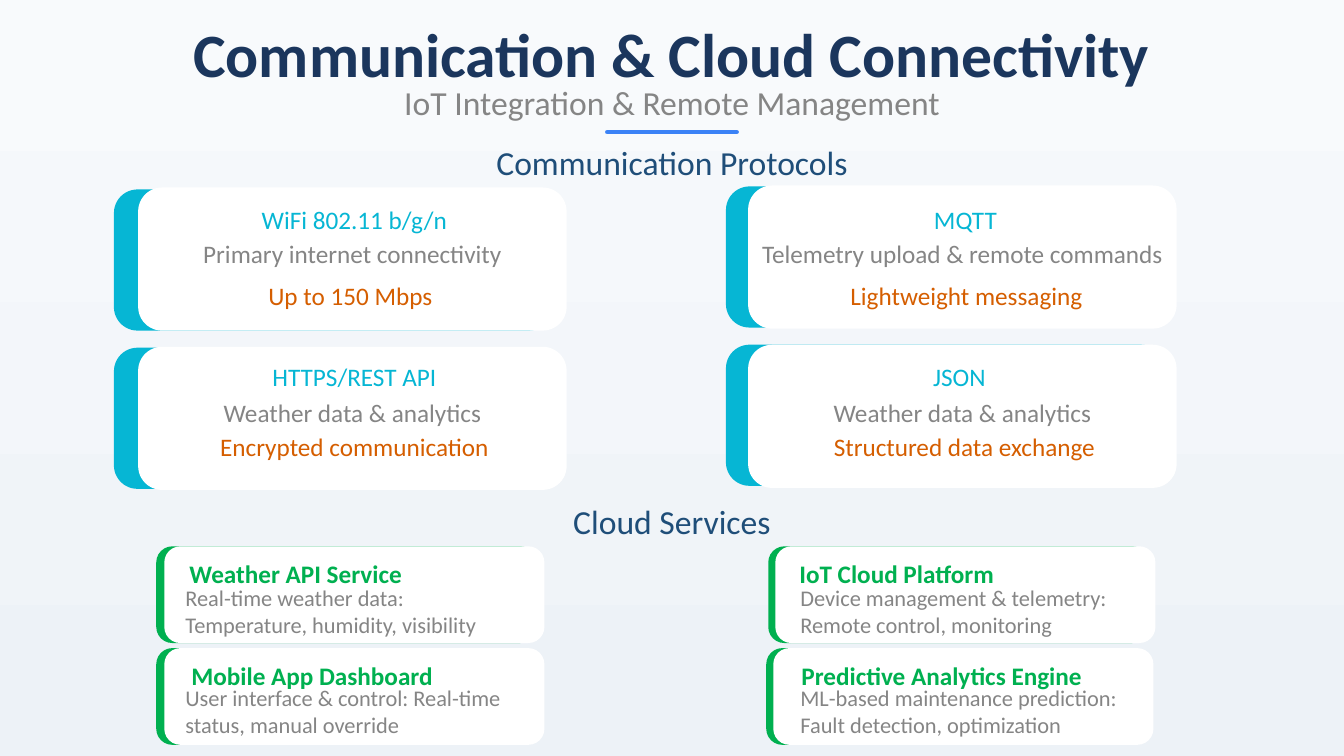
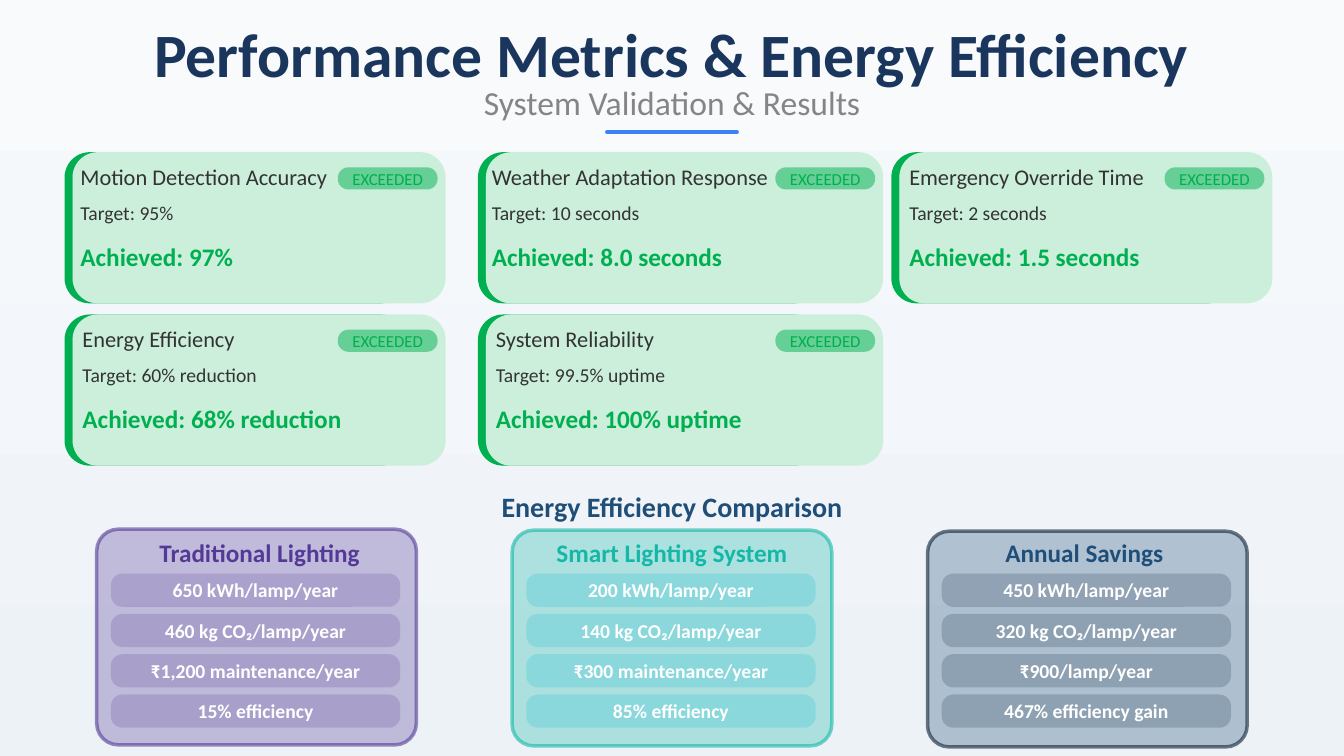
"""Build two slides on cloud connectivity and on lighting performance."""

from dataclasses import dataclass
from typing import NamedTuple

from lxml.etree import SubElement
from pptx import Presentation
from pptx.dml.color import RGBColor
from pptx.enum.shapes import MSO_AUTO_SHAPE_TYPE as ShapeType, MSO_CONNECTOR as ConnectorType
from pptx.enum.text import MSO_ANCHOR as Anchor, MSO_AUTO_SIZE as AutoSize, PP_ALIGN as Align
from pptx.oxml.ns import qn
from pptx.util import Inches, Pt

SLIDE_WIDTH, SLIDE_HEIGHT = 13.33, 7.5
FONT = "Calibri"
WHITE = RGBColor(0xFF, 0xFF, 0xFF)
PALE_TOP = RGBColor(0xF8, 0xFA, 0xFC)
PALE_BOTTOM = RGBColor(0xED, 0xF2, 0xF7)
NAVY = RGBColor(0x1B, 0x36, 0x5D)
STEEL = RGBColor(0x1F, 0x4E, 0x79)
INK = RGBColor(0x0E, 0x22, 0x35)
SLATE = RGBColor(0x10, 0x27, 0x3C)
BLUE = RGBColor(0x3B, 0x82, 0xF6)
CYAN = RGBColor(0x06, 0xB6, 0xD4)
TEAL = RGBColor(0x14, 0xB8, 0xA6)
GREEN = RGBColor(0x00, 0xB0, 0x50)
ORANGE = RGBColor(0xD5, 0x5E, 0x00)
PURPLE = RGBColor(0x54, 0x3A, 0x96)
GRAY = RGBColor(0x85, 0x85, 0x85)
CHARCOAL = RGBColor(0x33, 0x33, 0x33)


class Box(NamedTuple):
    left: float
    top: float
    width: float
    height: float

    def lengths(self) -> list[int]:
        return [Inches(value) for value in self]


@dataclass(frozen=True)
class Grid:
    left: float
    top: float
    column_step: float
    row_step: float
    width: float
    height: float
    drop: float = 0

    def cell(self, column: int, row: int = 0, shift: float = 0) -> Box:
        return Box(self.left + column * self.column_step + shift,
                   self.top + row * self.row_step + column * self.drop,
                   self.width, self.height)


@dataclass(frozen=True)
class Protocol:
    name: str
    detail: str
    result: str
    name_shift: float = 0
    result_shift: float = 0


@dataclass(frozen=True)
class Service:
    name: str
    detail: str
    name_shift: float = 0
    card_shift: float = 0


@dataclass(frozen=True)
class Metric:
    name: str
    target: str
    achieved: str
    text_shift: float = 0


@dataclass(frozen=True)
class Panel:
    heading: str
    values: tuple[str, ...]
    fill: RGBColor
    border: RGBColor
    bar: RGBColor
    heading_shift: float = 0


PROTOCOL_ACCENTS = Grid(1.13, 1.88, 6.07, 1.57, 4.35, 1.4, -0.03)
PROTOCOL_CARDS = Grid(1.37, 1.86, 6.05, 1.58, 4.25, 1.42, -0.02)
PROTOCOL_NAMES = Grid(1.37, 1.98, 6.05, 1.56, 4.25, 0.4)
PROTOCOL_DETAILS = Grid(1.37, 2.32, 6.05, 1.57, 4.25, 0.4)
PROTOCOL_RESULTS = Grid(1.37, 2.73, 6.05, 1.5, 4.25, 0.4)
SERVICE_ACCENTS = Grid(1.55, 5.42, 6.07, 1.01, 3.77, 0.96)
SERVICE_CARDS = Grid(1.63, 5.42, 6.06, 1.01, 3.77, 0.96)
SERVICE_NAMES = Grid(1.78, 5.49, 6.05, 1.01, 3.43, 0.4)
SERVICE_DETAILS = Grid(1.74, 5.75, 6.1, 0.99, 3.45, 0.64)
METRIC_ACCENTS = Grid(0.64, 1.51, 4.1, 1.61, 3.39, 1.5)
METRIC_WIDTHS = (3.7, 3.94, 3.7)
PANELS = Grid(0.96, 5.25, 4.12, 0, 3.17, 2.14, 0.01)
PANEL_HEADINGS = Grid(0.96, 5.28, 4.12, 0, 3.17, 0.4)
PANEL_BARS = Grid(1.1, 5.69, 4.12, 0.4, 2.87, 0.33)

PROTOCOLS = (
    Protocol("WiFi 802.11 b/g/n", "Primary internet connectivity", "Up to 150 Mbps", 0.02, -0.02),
    Protocol("MQTT", "Telemetry upload & remote commands", "Lightweight messaging", 0.03, 0.04),
    Protocol("HTTPS/REST API", "Weather data & analytics", "Encrypted communication", 0.02, 0.02),
    Protocol("JSON", "Weather data & analytics", "Structured data exchange", -0.03, 0.02),
)
SERVICES = (
    Service("Weather API Service", "Real-time weather data: Temperature, humidity, visibility"),
    Service("IoT Cloud Platform", "Device management & telemetry: Remote control, monitoring"),
    Service("Mobile App Dashboard", "User interface & control: Real-time status, manual override", 0.02),
    Service("Predictive Analytics Engine",
            "ML-based maintenance prediction: Fault detection, optimization", 0.02, -0.02),
)
METRICS = (
    Metric("Motion Detection Accuracy", "Target: 95%", "Achieved: 97%", -0.02),
    Metric("Weather Adaptation Response", "Target: 10 seconds", "Achieved: 8.0 seconds", -0.04),
    Metric("Emergency Override Time", "Target: 2 seconds", "Achieved: 1.5 seconds"),
    Metric("Energy Efficiency", "Target: 60% reduction", "Achieved: 68% reduction"),
    Metric("System Reliability", "Target: 99.5% uptime", "Achieved: 100% uptime"),
)
COMPARISON = (
    Panel("Traditional Lighting",
          ("650 kWh/lamp/year", "460 kg CO₂/lamp/year", "₹1,200 maintenance/year", "15% efficiency"),
          PURPLE, PURPLE, PURPLE, 0.03),
    Panel("Smart Lighting System",
          ("200 kWh/lamp/year", "140 kg CO₂/lamp/year", "₹300 maintenance/year", "85% efficiency"),
          TEAL, TEAL, CYAN),
    Panel("Annual Savings",
          ("450 kWh/lamp/year", "320 kg CO₂/lamp/year", "₹900/lamp/year", "467% efficiency gain"),
          STEEL, INK, SLATE, -0.03),
)


def centred(top: float, width: float, height: float) -> Box:
    return Box((SLIDE_WIDTH - width) / 2, top, width, height)


def set_opacity(parent, percent: int) -> None:
    color = parent.find(f"{qn('a:solidFill')}/{qn('a:srgbClr')}")
    SubElement(color, qn("a:alpha")).set("val", str(percent * 1000))


def write(shape, text: str, *, size: float, color: RGBColor, bold: bool = False,
          align: Align = Align.CENTER) -> None:
    shape.text_frame.word_wrap = True
    paragraph = shape.text_frame.paragraphs[0]
    paragraph.alignment = align
    run = paragraph.add_run()
    run.text = text
    run.font.name = FONT
    run.font.size = Pt(size)
    run.font.bold = bold
    run.font.color.rgb = color


def add_label(shapes, box: Box, text: str, **style) -> None:
    shape = shapes.add_textbox(*box.lengths())
    write(shape, text, **style)
    shape.text_frame.auto_size = AutoSize.SHAPE_TO_FIT_TEXT


def add_card(shapes, box: Box, fill: RGBColor, *, opacity: int = 100,
             rounding: float | None = None, border: RGBColor | None = None):
    shape = shapes.add_shape(ShapeType.ROUNDED_RECTANGLE, *box.lengths())
    shape.shadow.inherit = False
    shape.fill.solid()
    shape.fill.fore_color.rgb = fill
    if opacity < 100:
        set_opacity(shape.element.spPr, opacity)
    if rounding is not None:
        shape.adjustments[0] = rounding
    if border is None:
        shape.line.fill.background()
    else:
        shape.line.color.rgb = border
        shape.line.width = Pt(2.5)
        set_opacity(shape.element.spPr.ln, 60)
    shape.text_frame.vertical_anchor = Anchor.MIDDLE
    return shape


def add_divider(shapes) -> None:
    left, top, width, _ = centred(1.31, 1.28, 0).lengths()
    divider = shapes.add_connector(ConnectorType.STRAIGHT, left, top, left + width, top)
    divider.line.color.rgb = BLUE
    divider.line.width = Pt(3.5)
    divider.element.spPr.ln.set("cap", "rnd")
    SubElement(divider.element.spPr, qn("a:effectLst"))


def add_slide(presentation, title: str, subtitle: str):
    slide = presentation.slides.add_slide(presentation.slide_layouts[6])
    fill = slide.background.fill
    fill.gradient()
    fill.gradient_angle = 270
    for stop, color in zip(fill.gradient_stops, (PALE_TOP, PALE_BOTTOM)):
        stop.color.rgb = color
    add_label(slide.shapes, centred(0.11, 10.56, 0.84), title, size=44, color=NAVY, bold=True)
    add_label(slide.shapes, centred(0.76, 5.79, 0.5), subtitle, size=24, color=GRAY)
    add_divider(slide.shapes)
    return slide


def add_protocol(shapes, protocol: Protocol, column: int, row: int) -> None:
    add_card(shapes, PROTOCOL_ACCENTS.cell(column, row), CYAN)
    add_card(shapes, PROTOCOL_CARDS.cell(column, row), WHITE)
    for grid, shift, text, color in (
        (PROTOCOL_NAMES, protocol.name_shift, protocol.name, CYAN),
        (PROTOCOL_DETAILS, 0, protocol.detail, GRAY),
        (PROTOCOL_RESULTS, protocol.result_shift, protocol.result, ORANGE),
    ):
        add_label(shapes, grid.cell(column, row, shift), text, size=18, color=color)


def add_service(shapes, service: Service, column: int, row: int) -> None:
    add_card(shapes, SERVICE_ACCENTS.cell(column, row, service.card_shift), GREEN)
    add_card(shapes, SERVICE_CARDS.cell(column, row, service.card_shift), WHITE)
    add_label(shapes, SERVICE_NAMES.cell(column, row, service.name_shift), service.name,
              size=18, color=GREEN, bold=True, align=Align.LEFT)
    add_label(shapes, SERVICE_DETAILS.cell(column, row), service.detail,
              size=16, color=GRAY, align=Align.LEFT)


def add_metric(shapes, metric: Metric, column: int, row: int) -> None:
    accent = METRIC_ACCENTS.cell(column, row)
    card = accent._replace(left=accent.left + 0.08, width=METRIC_WIDTHS[column])
    add_card(shapes, accent, GREEN)
    add_card(shapes, card, WHITE)
    badge_box = Box(card.left + card.width - 1.07, card.top + 0.15, 0.99, 0.22)
    badge = add_card(shapes, badge_box, GREEN, opacity=50, rounding=0.48)
    write(badge, "EXCEEDED", size=12, color=GREEN)
    add_card(shapes, card, GREEN, opacity=20)
    for offset, text, size, color, bold in (
        (0.06, metric.name, 16, CHARCOAL, False),
        (0.43, metric.target, 14, CHARCOAL, False),
        (0.83, metric.achieved, 18, GREEN, True),
    ):
        box = Box(card.left + metric.text_shift, card.top + offset, 3.16, 0.37)
        add_label(shapes, box, text, size=size, color=color, bold=bold, align=Align.LEFT)


def add_panel(shapes, panel: Panel, column: int) -> None:
    add_card(shapes, PANELS.cell(column), panel.fill, opacity=30, rounding=0.1, border=panel.border)
    add_label(shapes, PANEL_HEADINGS.cell(column, shift=panel.heading_shift), panel.heading,
              size=18, color=panel.fill, bold=True)
    for row, value in enumerate(panel.values):
        bar = add_card(shapes, PANEL_BARS.cell(column, row), panel.bar, opacity=20, rounding=0.35)
        write(bar, value, size=14, color=WHITE, bold=True)


def build_connectivity(presentation) -> None:
    shapes = add_slide(presentation, "Communication & Cloud Connectivity",
                       "IoT Integration & Remote Management").shapes
    for top, heading in ((1.36, "Communication Protocols"), (4.92, "Cloud Services")):
        add_label(shapes, centred(top, 3.77, 0.5), heading, size=24, color=STEEL)
    for index, (protocol, service) in enumerate(zip(PROTOCOLS, SERVICES)):
        row, column = divmod(index, 2)
        add_protocol(shapes, protocol, column, row)
        add_service(shapes, service, column, row)


def build_performance(presentation) -> None:
    shapes = add_slide(presentation, "Performance Metrics & Energy Efficiency",
                       "System Validation & Results").shapes
    for index, metric in enumerate(METRICS):
        row, column = divmod(index, 3)
        add_metric(shapes.add_group_shape().shapes, metric, column, row)
    add_label(shapes, centred(4.81, 3.82, 0.44), "Energy Efficiency Comparison",
              size=20, color=STEEL, bold=True)
    for column, panel in enumerate(COMPARISON):
        add_panel(shapes.add_group_shape().shapes, panel, column)


def main() -> None:
    presentation = Presentation()
    presentation.slide_width = Inches(SLIDE_WIDTH)
    presentation.slide_height = Inches(SLIDE_HEIGHT)
    build_connectivity(presentation)
    build_performance(presentation)
    presentation.save("out.pptx")


if __name__ == "__main__":
    main()
